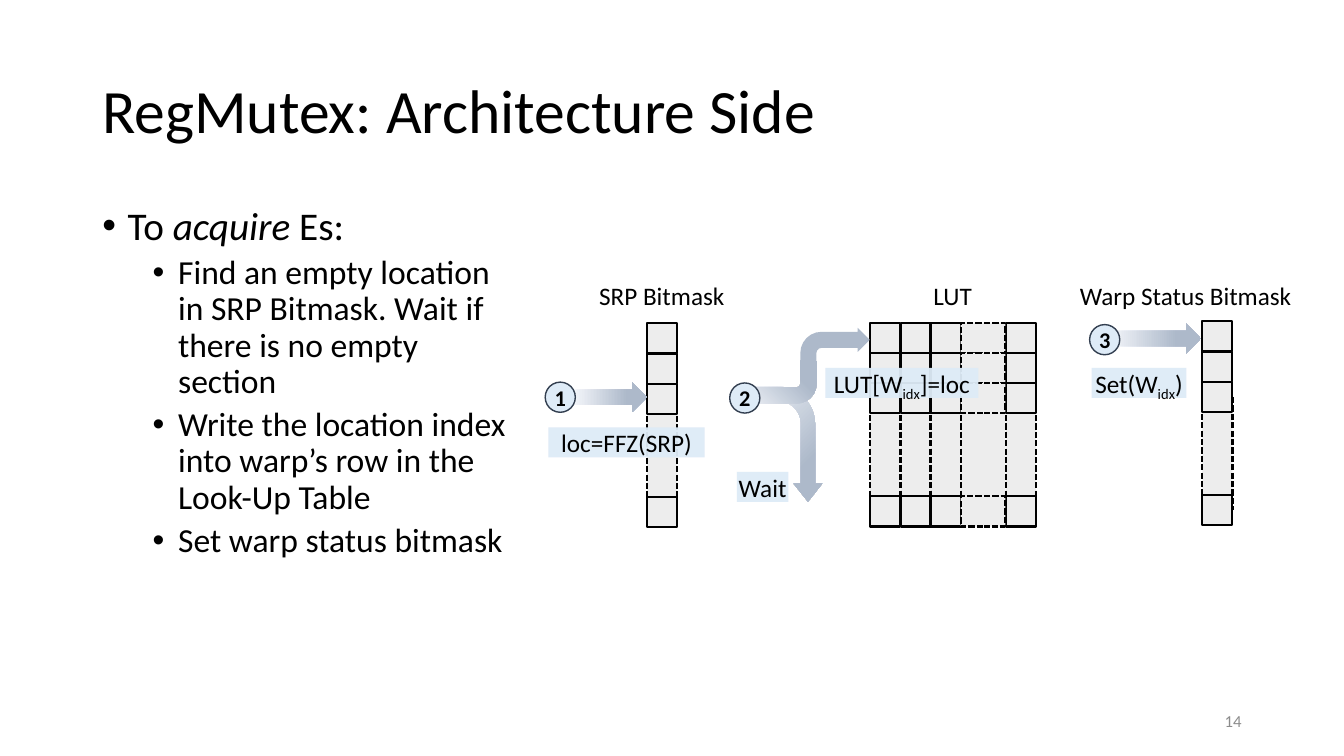
import pptx
import pptx.util
import pptx.dml.color
import pptx.enum.dml
import pptx.enum.shapes
import pptx.enum.text
import pptx.oxml.ns
from lxml import etree

Cm, Pt = pptx.util.Cm, pptx.util.Pt
RGB = pptx.dml.color.RGBColor
SHAPE = pptx.enum.shapes.MSO_SHAPE
ALIGN = pptx.enum.text.PP_ALIGN
ANCHOR = pptx.enum.text.MSO_ANCHOR
AUTO = pptx.enum.text.MSO_AUTO_SIZE
DASH = pptx.enum.dml.MSO_LINE.SQUARE_DOT
qn = pptx.oxml.ns.qn

FONT = "Calibri"
BLACK = RGB(0x00, 0x00, 0x00)
GREY = RGB(0x8C, 0x8C, 0x8C)
CELL = RGB(0xED, 0xED, 0xED)
PALE = RGB(0xF6, 0xF8, 0xFC)
STEEL = RGB(0xAD, 0xB9, 0xCA)
SKY = RGB(0xDE, 0xEB, 0xF7)
NAVY = RGB(0x33, 0x3F, 0x50)

# Content; all lengths in cm. A run is (text, style)
TITLE = "RegMutex: Architecture Side"
PAGE = "14"
BULLETS = [
    (0, [("To ", ""), ("acquire", "italic"), (" Es:", "")]),
    (1, [("Find an empty location in SRP Bitmask. Wait if there is no empty section", "")]),
    (1, [("Write the location index into warp’s row in the Look-Up Table", "")]),
    (1, [("Set warp status bitmask", "")]),
]
HEADINGS = [  # text, left, width
    ("SRP Bitmask", 14.05, 5.26),
    ("Warp Status Bitmask", 26.82, 6.12),
    ("LUT", 22.83, 2.36),
]
LABELS = [  # runs, left, top, width
    ([("loc=FFZ(SRP)", "")], 13.82, 10.77, 3.94),
    ([("Set(W", ""), ("idx", "sub"), (")", "")], 27.51, 9.27, 2.39),
    ([("LUT[W", ""), ("idx", "sub"), ("]=loc", "")], 20.8, 9.27, 3.86),
    ([("Wait", "")], 18.57, 11.89, 1.3),
]
STEPS = [("1", 13.74, 9.63), ("2", 18.39, 9.65), ("3", 27.46, 8.18)]
COLUMNS = [  # left, top, width, dashed cells
    (16.31, 8.15, 0.76, False),
    (30.3, 8.1, 0.76, False),
    (21.92, 8.13, 0.76, False),
    (22.7, 8.13, 0.76, False),
    (23.45, 8.13, 0.76, False),
    (25.35, 8.13, 0.76, False),
    (24.21, 8.13, 1.13, True),
]
SIDE = 0.76
ROWS = [0, SIDE, 2 * SIDE, 4.38]
ARROWS = [  # preset, box, rotation, adjustments, gradient angle
    (SHAPE.BENT_ARROW, (18.19, 10.11, 2.9, 2.16), 90, (0.166, 0.166, 0.208, 0.438), 45),
    (SHAPE.RIGHT_ARROW, (14.4, 9.63, 1.91, 0.76), 0, (), 0),
    (SHAPE.RIGHT_ARROW, (27.91, 8.15, 2.36, 0.76), 0, (), 0),
    (SHAPE.BENT_ARROW, (18.57, 9.09, 2.01, 1.17), 180, (0.35, 0.25, 0, 0.438), 225),
    (SHAPE.BENT_ARROW, (20.17, 8.26, 1.75, 1.22), 0, (0.332, 0.25, 0.25, 0.438), None),
]

prs = pptx.Presentation()
prs.slide_width, prs.slide_height = Cm(33.87), Cm(19.05)
slide = prs.slides.add_slide(prs.slide_layouts[6])


def shape(kind, box, fill=None, line=None, width=1.5, dashed=False):
    s = slide.shapes.add_shape(kind, *[Cm(v) for v in box])
    s.shadow.inherit = False
    if fill is not None:
        s.fill.solid()
        s.fill.fore_color.rgb = fill
    if line is None:
        s.line.fill.background()
    else:
        s.line.color.rgb = line
        s.line.width = Pt(width)
        if dashed:
            s.line.dash_style = DASH
    return s


def textbox(box, anchor=ANCHOR.TOP):
    s = slide.shapes.add_textbox(*[Cm(v) for v in box])
    s.text_frame.word_wrap = True
    s.text_frame.vertical_anchor = anchor
    return s.text_frame


def add_runs(p, runs, size, color=BLACK, bold=False):
    for text, style in runs:
        r = p.add_run()
        r.text = text
        r.font.name, r.font.size = FONT, Pt(size)
        r.font.color.rgb = color
        if bold:
            r.font.bold = True
        if style == "italic":
            r.font.italic = True
        if style == "sub":
            r.font._element.set("baseline", "-25000")


def centred(tf, runs, size, anchor=ANCHOR.TOP, bold=False):
    tf.margin_left = tf.margin_right = tf.margin_top = tf.margin_bottom = 0
    tf.word_wrap = True
    tf.vertical_anchor = anchor
    tf.paragraphs[0].alignment = ALIGN.CENTER
    add_runs(tf.paragraphs[0], runs, size, bold=bold)


# Title, bullets and page number
p = textbox((2.33, 1.01, 29.21, 3.68), ANCHOR.MIDDLE).paragraphs[0]
p.line_spacing = 0.9
add_runs(p, [(TITLE, "")], 44)

tf = textbox((2.33, 5.07, 10.82, 12.09))
for i, (level, runs) in enumerate(BULLETS):
    p = tf.add_paragraph() if i else tf.paragraphs[0]
    p.level = level
    p.line_spacing = 0.9
    if i:
        p.space_before = Pt(5)
    pPr = p._p.get_or_add_pPr()
    pPr.set("marL", str(Cm(0.64 + 1.27 * level)))
    pPr.set("indent", str(-Cm(0.64)))
    etree.SubElement(pPr, qn("a:buFont")).set("typeface", "Arial")
    etree.SubElement(pPr, qn("a:buChar")).set("char", "•")
    add_runs(p, runs, 24 if level else 28)

p = textbox((23.92, 17.66, 7.62, 1.01), ANCHOR.MIDDLE).paragraphs[0]
p.alignment = ALIGN.RIGHT
add_runs(p, [(PAGE, "")], 12, GREY)

# Bitmask and table columns: elided middles first, then sides and cells
for x, y, w, dashed in COLUMNS:
    shape(SHAPE.RECTANGLE, (x, y + 1.93, w, 2.59), CELL)
for x, y, w, dashed in COLUMNS:
    for row in ROWS:
        shape(SHAPE.RECTANGLE, (x, y + row, w, SIDE), CELL, BLACK, dashed=dashed)
    for side in () if dashed else (x + w, x):
        c = slide.shapes.add_connector(
            pptx.enum.shapes.MSO_CONNECTOR.STRAIGHT,
            Cm(side), Cm(y + 1.9), Cm(side), Cm(y + 4.76))
        c.line.color.rgb = BLACK
        c.line.width = Pt(1.5)
        c.line.dash_style = DASH
        etree.SubElement(c._element.spPr, qn("a:effectLst"))

# Column headings
for text, x, w in HEADINGS:
    centred(textbox((x, 7.06, w, 0.76)), [(text, "")], 18)

# Arrows
for kind, box, rotation, adjustments, angle in ARROWS:
    s = shape(kind, box, STEEL)
    s.rotation = rotation
    for i, value in enumerate(adjustments):
        s.adjustments[i] = value
    if angle is not None:
        s.fill.gradient()
        s.fill.gradient_angle = angle
        for stop, color, at in zip(s.fill.gradient_stops, (PALE, STEEL), (0, 0.74)):
            stop.color.rgb = color
            stop.position = at

# Step numbers
for number, x, y in STEPS:
    s = shape(SHAPE.OVAL, (x, y, SIDE, SIDE), SKY, NAVY, 1)
    centred(s.text_frame, [(number, "")], 16, ANCHOR.MIDDLE, bold=True)

# Operation labels, slightly see-through
for runs, x, y, w in LABELS:
    s = shape(SHAPE.RECTANGLE, (x, y, w, SIDE), SKY)
    color = s._element.spPr.find(qn("a:solidFill"))[0]
    etree.SubElement(color, qn("a:alpha")).set("val", "95000")
    centred(s.text_frame, runs, 18)
    s.text_frame.auto_size = AUTO.SHAPE_TO_FIT_TEXT

prs.save("out.pptx")
